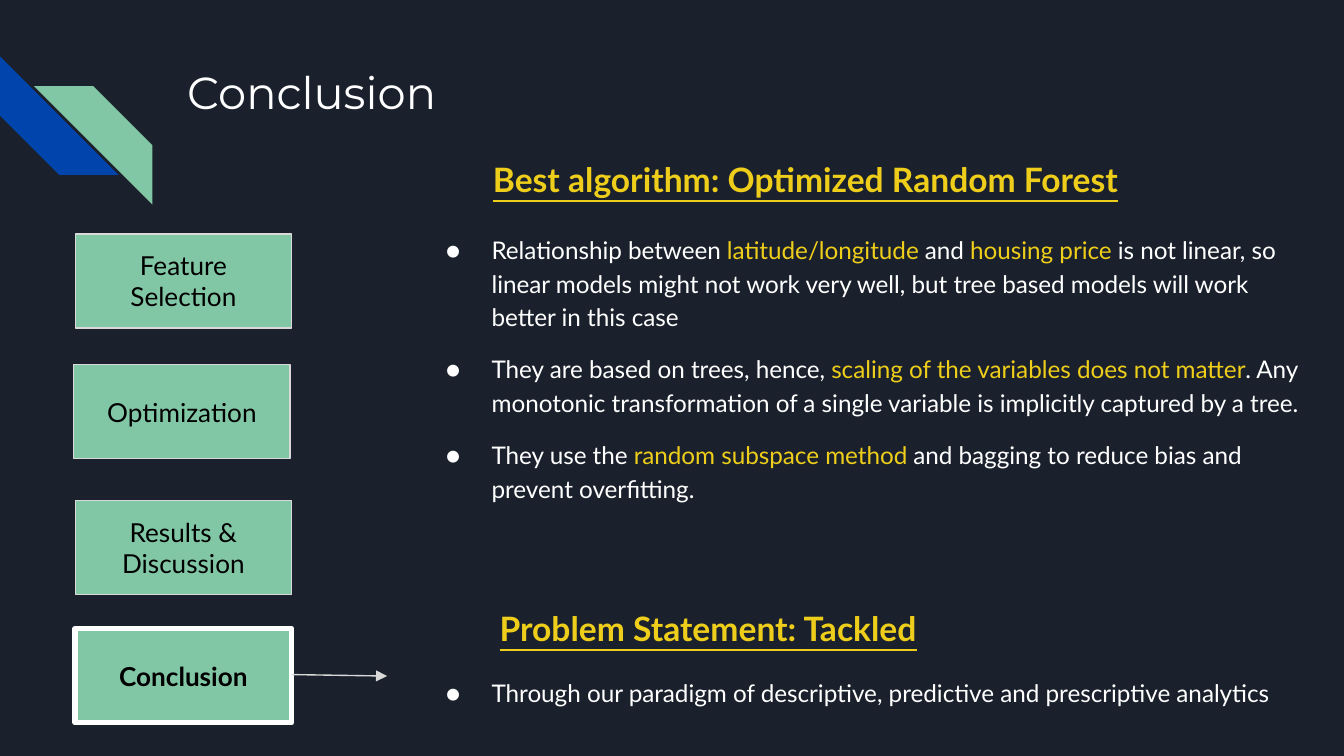
from lxml.etree import SubElement
from pptx import Presentation
from pptx.dml.color import RGBColor
from pptx.enum.shapes import MSO_CONNECTOR, MSO_SHAPE
from pptx.enum.text import MSO_ANCHOR, MSO_AUTO_SIZE, PP_ALIGN
from pptx.oxml.ns import qn
from pptx.util import Pt

COLORS = {"bg": "1B212C", "blue": "0145AC", "green": "82C7A5",
          "yellow": "EECE1A", "white": "FFFFFF", "grey": "D9D9D9", "black": "000000"}

TITLE = {"name": "Montserrat", "size": Pt(24)}
HEADING = {"name": "Lato", "size": Pt(18), "bold": True, "underline": True}
BODY = {"name": "Lato", "size": Pt(13)}
STEP = {"name": "Lato", "size": Pt(14)}

# Each bullet is a list of (text, colour) runs
REASONS = [
    [("Relationship between ", "white"), ("latitude/longitude", "yellow"),
     (" and ", "white"), ("housing price", "yellow"),
     (" is not linear, so linear models might not work very well, but tree based "
      "models will work better in this case", "white")],
    [("They are based on trees, hence, ", "white"),
     ("scaling of the variables does not matter", "yellow"),
     (". Any monotonic transformation of a single variable is implicitly captured "
      "by a tree.", "white")],
    [("They use the ", "white"), ("random subspace method ", "yellow"),
     ("and bagging to reduce bias and prevent overfitting.", "white")],
]
OUTCOME = [[("Through our paradigm of descriptive, predictive and prescriptive analytics",
             "white")]]


def rgb(name):
    return RGBColor.from_string(COLORS[name])


def add_run(p, text, color, style):
    r = p.add_run()
    r.text = text
    for key, value in style.items():
        setattr(r.font, key, value)
    r.font.color.rgb = rgb(color)


def format_frame(tf, anchor=MSO_ANCHOR.TOP):
    tf.word_wrap = True
    tf.auto_size = MSO_AUTO_SIZE.NONE
    tf.vertical_anchor = anchor
    for side in ("left", "top", "right", "bottom"):
        setattr(tf, f"margin_{side}", Pt(7.2))


def add_text(s, x, y, w, h):
    tf = s.shapes.add_textbox(Pt(x), Pt(y), Pt(w), Pt(h)).text_frame
    format_frame(tf)
    return tf


def add_box(s, kind, x, y, w, h, color):
    sp = s.shapes.add_shape(kind, Pt(x), Pt(y), Pt(w), Pt(h))
    sp.shadow.inherit = False
    sp.fill.solid()
    sp.fill.fore_color.rgb = rgb(color)
    sp.line.fill.background()
    return sp


def add_stripes(s, x, y, size):
    for dx, dy, angle, color in ((0, 0, 270, "blue"), (18.2, 16, 90, "green")):
        sp = add_box(s, MSO_SHAPE.DIAGONAL_STRIPE, x + dx, y + dy, size, size, color)
        sp.rotation = angle


def add_title(s, x, y, w, h):
    sp = s.shapes.title
    sp.left, sp.top, sp.width, sp.height = Pt(x), Pt(y), Pt(w), Pt(h)
    format_frame(sp.text_frame)
    p = sp.text_frame.paragraphs[0]
    p.alignment = PP_ALIGN.LEFT
    add_run(p, "Conclusion", "white", TITLE)


def add_heading(s, x, y, w, h, text):
    add_run(add_text(s, x, y, w, h).paragraphs[0], text, "yellow", HEADING)


def add_bullets(s, x, y, w, h, items):
    tf = add_text(s, x, y, w, h)
    for i, runs in enumerate(items):
        p = tf.add_paragraph() if i else tf.paragraphs[0]
        p.line_spacing = 1.15
        if i:
            p.space_before = Pt(10)
        pPr = p._p.get_or_add_pPr()
        pPr.set("marL", str(Pt(36)))
        pPr.set("indent", str(Pt(-24.5)))
        clr = SubElement(pPr, qn("a:buClr"))
        SubElement(clr, qn("a:srgbClr"), val=COLORS["white"])
        SubElement(pPr, qn("a:buFont"), typeface="Lato")
        SubElement(pPr, qn("a:buChar"), char="●")
        for text, color in runs:
            add_run(p, text, color, BODY)


def add_steps(s, x, y, w, h):
    # (label, horizontal offset, vertical offset); the last step is current
    steps = (("Feature Selection", 0, 0), ("Optimization", -0.8, 70),
             ("Results & Discussion", 0, 142.8), ("Conclusion", 0, 211.5))
    for label, dx, dy in steps:
        current = label == "Conclusion"
        sp = add_box(s, MSO_SHAPE.RECTANGLE, x + dx, y + dy, w, h, "green")
        sp.line.color.rgb = rgb("white" if current else "grey")
        sp.line.width = Pt(3 if current else 0.75)
        format_frame(sp.text_frame, MSO_ANCHOR.MIDDLE)
        p = sp.text_frame.paragraphs[0]
        p.alignment = PP_ALIGN.CENTER
        add_run(p, label, "black", {**STEP, "bold": current})


def add_arrow(s, x1, y1, x2, y2):
    line = s.shapes.add_connector(MSO_CONNECTOR.STRAIGHT, Pt(x1), Pt(y1), Pt(x2), Pt(y2))
    line.line.color.rgb = rgb("grey")
    line.line.width = Pt(0.75)
    SubElement(line.line._get_or_add_ln(), qn("a:tailEnd"), type="triangle")
    SubElement(line._element.spPr, qn("a:effectLst"))


def main():
    prs = Presentation()
    prs.slide_width, prs.slide_height = Pt(720), Pt(405)
    s = prs.slides.add_slide(prs.slide_layouts[5])
    s.background.fill.solid()
    s.background.fill.fore_color.rgb = rgb("bg")

    # Corner decoration and title
    add_stripes(s, 0, 30.2, 63.5)
    add_title(s, 93, 27.4, 554, 38)

    # Progress steps, with an arrow from the current one
    add_steps(s, 40.3, 125.3, 116, 50.4)
    add_arrow(s, 156.2, 361.4, 207.4, 362.2)

    # Findings
    add_heading(s, 257, 77.8, 444, 34, "Best algorithm: Optimized Random Forest")
    add_bullets(s, 220.3, 116.6, 487.5, 178, REASONS)
    add_heading(s, 260.6, 318.5, 444, 34, "Problem Statement: Tackled")
    add_bullets(s, 220.3, 354, 487.5, 40, OUTCOME)

    prs.save("out.pptx")


if __name__ == "__main__":
    main()
